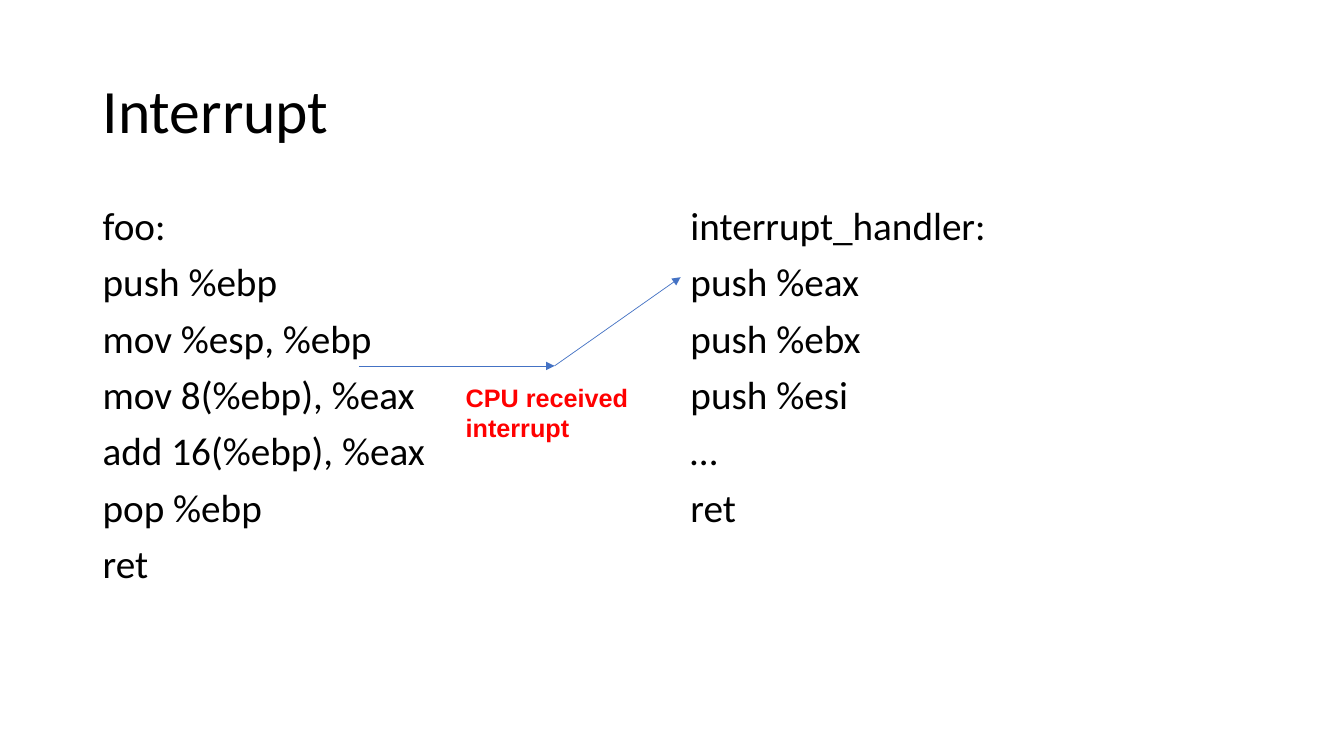
from dataclasses import dataclass

from lxml import etree
from pptx import Presentation
from pptx.dml.color import RGBColor
from pptx.enum import shapes, text
from pptx.oxml import ns
from pptx.util import Inches, Pt


@dataclass(frozen=True)
class Theme:
    body_font: str = "Calibri"
    note_font: str = "Arial"
    ink: str = "000000"
    alert: str = "FF0000"
    arrow: str = "4472C4"
    title_size: int = 44
    code_size: int = 28
    note_size: int = 18
    arrow_width: float = 0.5


class SlideBuilder:
    def __init__(self, slide, theme):
        self.slide = slide
        self.theme = theme

    def text_box(self, box, lines, size, font, color, bold=False,
                 anchor=text.MSO_ANCHOR.TOP, line_spacing=1.0, gap=0):
        frame = self.slide.shapes.add_textbox(*map(Inches, box)).text_frame
        frame.word_wrap = True
        frame.vertical_anchor = anchor
        frame.text = "\n".join(lines)
        for index, paragraph in enumerate(frame.paragraphs):
            paragraph.line_spacing = line_spacing
            paragraph.space_before = Pt(gap if index else 0)
            paragraph.font.size = Pt(size)
            paragraph.font.name = font
            paragraph.font.bold = bold
            paragraph.font.color.rgb = RGBColor.from_string(color)
        return frame

    def title(self, box, wording):
        t = self.theme
        self.text_box(box, [wording], t.title_size, t.body_font, t.ink,
                      anchor=text.MSO_ANCHOR.MIDDLE, line_spacing=0.9)

    def code(self, box, lines):
        t = self.theme
        self.text_box(box, lines, t.code_size, t.body_font, t.ink,
                      line_spacing=0.9, gap=10)

    def note(self, box, wording):
        t = self.theme
        frame = self.text_box(box, [wording], t.note_size, t.note_font,
                              t.alert, bold=True)
        frame.auto_size = text.MSO_AUTO_SIZE.SHAPE_TO_FIT_TEXT

    def arrow(self, start, end):
        connector = self.slide.shapes.add_connector(
            shapes.MSO_CONNECTOR.STRAIGHT, *map(Inches, start + end))
        connector.line.color.rgb = RGBColor.from_string(self.theme.arrow)
        connector.line.width = Pt(self.theme.arrow_width)
        # Arrowhead at the end, no shadow
        etree.SubElement(connector.line._get_or_add_ln(),
                         ns.qn("a:tailEnd"), type="triangle")
        etree.SubElement(connector._element.spPr, ns.qn("a:effectLst"))


def main():
    deck = Presentation()
    deck.slide_width, deck.slide_height = Inches(13.33), Inches(7.5)
    page = SlideBuilder(deck.slides.add_slide(deck.slide_layouts[6]), Theme())

    left, right, column_top = 0.92, 6.75, 2
    column_size = (5.67, 4.76)

    page.title((left, 0.4, 11.5, 1.45), "Interrupt")

    # Interrupted function and its handler
    foo = ["foo:", "push %ebp", "mov %esp, %ebp", "mov 8(%ebp), %eax",
           "add 16(%ebp), %eax", "pop %ebp", "ret"]
    handler = ["interrupt_handler:", "push %eax", "push %ebx", "push %esi",
               "…", "ret"]
    for column_left, routine in ((left, foo), (right, handler)):
        page.code((column_left, column_top, *column_size), routine)

    # Jump from the function to the handler
    interrupt_point = (5.5, 3.63)
    page.arrow((3.56, 3.63), interrupt_point)
    page.note((4.52, 3.74, 2.69, 0.71), "CPU received interrupt")
    page.arrow(interrupt_point, (right, 2.75))

    deck.save("out.pptx")


if __name__ == "__main__":
    main()
